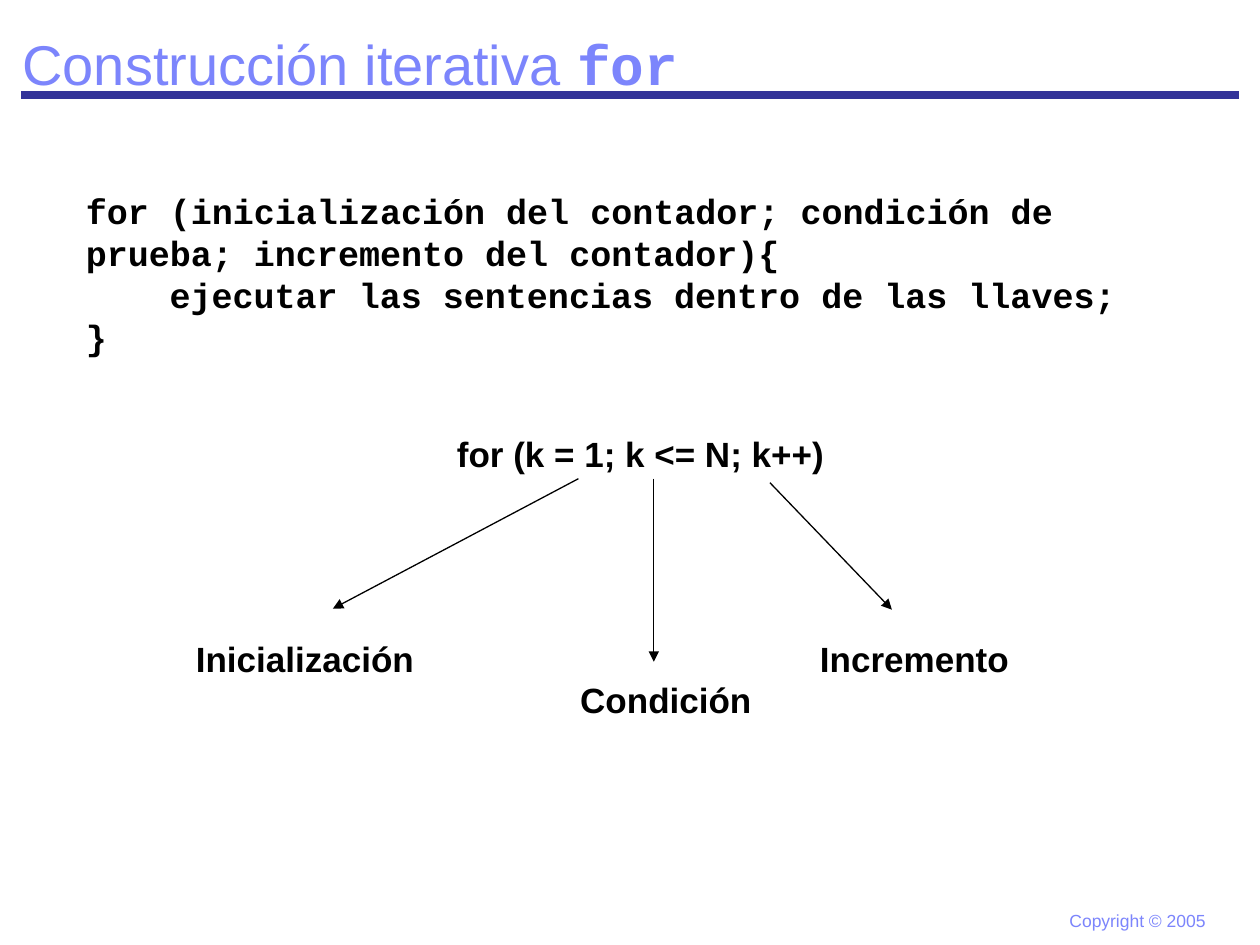
import dataclasses

import pptx
import pptx.dml.color
import pptx.enum.shapes
import pptx.enum.text
import pptx.oxml
import pptx.oxml.ns
import pptx.util

Cm = pptx.util.Cm
Pt = pptx.util.Pt
Align = pptx.enum.text.PP_ALIGN
Anchor = pptx.enum.text.MSO_ANCHOR


@dataclasses.dataclass(frozen=True)
class Theme:
    heading: str = "7C85FC"
    rule: str = "333399"
    ink: str = "000000"
    paper: str = "FFFFFF"
    sans: str = "Arial"
    mono: str = "Courier New"
    title_size: float = 32
    body_size: float = 20
    footer_size: float = 10
    rule_width: float = 4.5
    arrow_width: float = 0.75


class SlideBuilder:
    def __init__(self, slide, theme):
        self.slide = slide
        self.theme = theme

    def color(self, value):
        return pptx.dml.color.RGBColor.from_string(value)

    def box(self, element, box):
        element.left, element.top, element.width, element.height = map(Cm, box)

    def frame(self, element, anchor, wrap=True):
        frame = element.text_frame
        frame.word_wrap = wrap
        frame.vertical_anchor = anchor
        frame.margin_left = frame.margin_right = Cm(0.25)
        frame.margin_top = frame.margin_bottom = Cm(0.13)
        return frame

    def run(self, paragraph, text, font, size, color, bold=False):
        run = paragraph.add_run()
        run.text = text
        run.font.name = font
        run.font.size = Pt(size)
        run.font.bold = bold
        run.font.color.rgb = self.color(color)

    def title(self, box, plain, keyword):
        heading = self.slide.shapes.title
        self.box(heading, box)
        frame = self.frame(heading, Anchor.MIDDLE)
        frame.auto_size = pptx.enum.text.MSO_AUTO_SIZE.NONE
        paragraph = frame.paragraphs[0]
        paragraph.alignment = Align.LEFT
        theme = self.theme
        self.run(paragraph, plain, theme.sans, theme.title_size, theme.heading)
        self.run(paragraph, keyword, theme.mono, theme.title_size, theme.heading, True)

    def code(self, box, lines):
        frame = self.frame(self.slide.shapes.add_textbox(*map(Cm, box)), Anchor.MIDDLE)
        for number, (indent, text) in enumerate(lines):
            paragraph = frame.add_paragraph() if number else frame.paragraphs[0]
            paragraph.alignment = Align.LEFT
            if indent:
                paragraph._p.get_or_add_pPr().set("marL", str(Cm(indent)))
            self.run(paragraph, text, self.theme.mono, self.theme.body_size, self.theme.ink, True)

    def footer(self, box, text):
        frame = self.frame(self.slide.shapes.add_textbox(*map(Cm, box)), Anchor.TOP, False)
        self.run(frame.paragraphs[0], text, self.theme.sans, self.theme.footer_size, self.theme.heading)

    def label(self, box, text):
        rectangle = pptx.enum.shapes.MSO_SHAPE.RECTANGLE
        label = self.slide.shapes.add_shape(rectangle, *map(Cm, box))
        label.shadow.inherit = False
        label.fill.solid()
        label.fill.fore_color.rgb = self.color(self.theme.paper)
        label.line.fill.background()
        paragraph = self.frame(label, Anchor.TOP).paragraphs[0]
        paragraph.alignment = Align.CENTER
        self.run(paragraph, text, self.theme.sans, self.theme.body_size, self.theme.ink, True)

    def line(self, ends, color, width, arrow=False):
        straight = pptx.enum.shapes.MSO_CONNECTOR.STRAIGHT
        line = self.slide.shapes.add_connector(straight, *map(Cm, ends))
        line.line.color.rgb = self.color(color)
        line.line.width = Pt(width)
        if arrow:
            head = pptx.oxml.parse_xml(
                f'<a:tailEnd {pptx.oxml.ns.nsdecls("a")} type="triangle"/>')
            line.line._get_or_add_ln().append(head)
        properties = line._element.spPr
        properties.append(pptx.oxml.parse_xml(f'<a:effectLst {pptx.oxml.ns.nsdecls("a")}/>'))

    def arrow(self, ends):
        self.line(ends, self.theme.ink, self.theme.arrow_width, True)


theme = Theme()
deck = pptx.Presentation()
deck.slide_width, deck.slide_height = Cm(25.4), Cm(19.05)
builder = SlideBuilder(deck.slides.add_slide(deck.slide_layouts[5]), theme)

builder.line((0.43, 1.91, 24.97, 1.91), theme.rule, theme.rule_width)
builder.title((0.2, 0.43, 23.5, 1.7), "Construcción iterativa ", "for")
builder.footer((21.31, 18.21, 3.25, 0.69), "Copyright © 2005")

builder.code((1.48, 3.68, 21.59, 3.66), [
    (0, "for (inicialización del contador; condición de prueba; incremento del contador){"),
    (1.69, "ejecutar las sentencias dentro de las llaves;"),
    (0, "}"),
])

builder.label((8.71, 8.59, 8.41, 1.93), "for (k = 1; k <= N; k++)")
parts = [
    ("Inicialización", (3.61, 12.73, 5.08, 1.3), (11.66, 9.65, 6.71, 12.27)),
    ("Condición", (11.2, 13.54, 4.45, 1.3), (13.18, 9.65, 13.18, 13.34)),
    ("Incremento", (16.15, 12.73, 4.57, 1.3), (15.52, 9.73, 17.98, 12.29)),
]
for part, place, pointer in parts:
    builder.arrow(pointer)
    builder.label(place, part)

deck.save("out.pptx")
